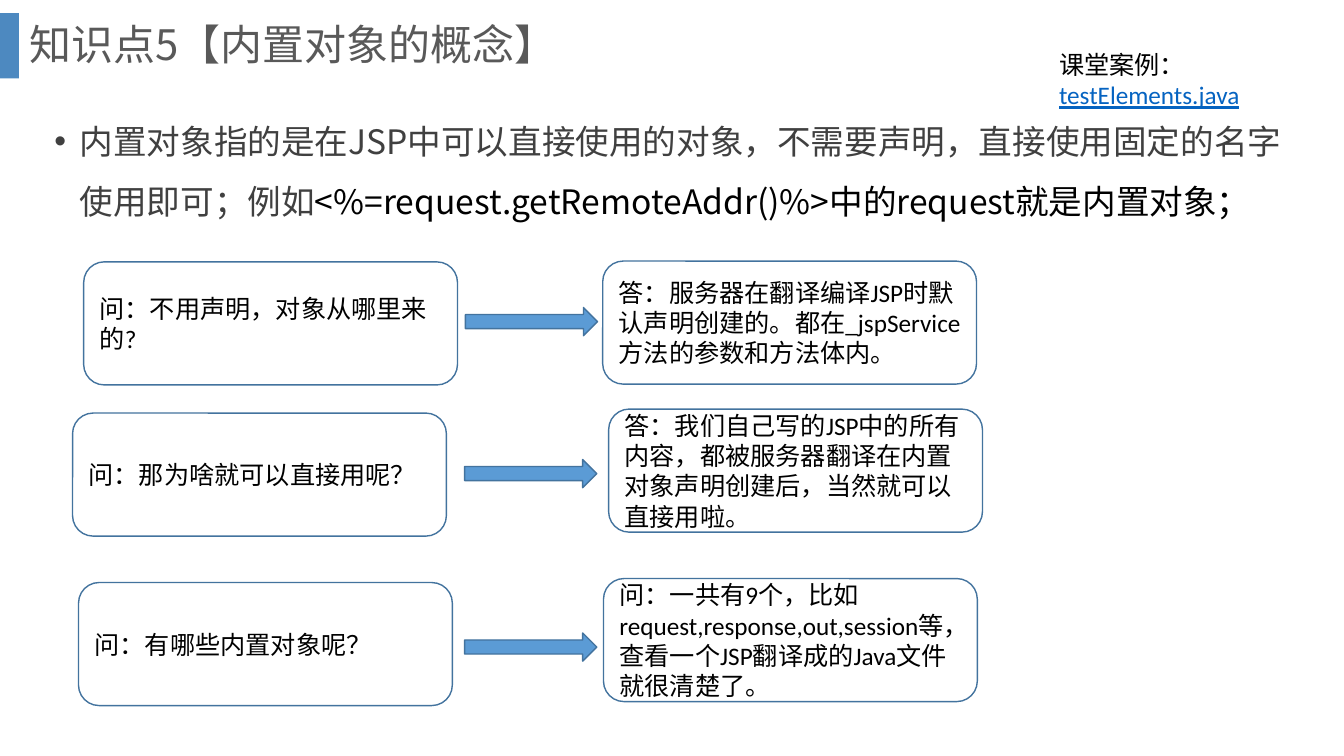
import pptx
import pptx.util
import pptx.dml.color
import pptx.enum.shapes
import pptx.enum.text
import pptx.oxml.ns
import lxml.etree

Cm = pptx.util.Cm
Pt = pptx.util.Pt
SHAPE = pptx.enum.shapes.MSO_SHAPE
ANCHOR = pptx.enum.text.MSO_ANCHOR
LEFT_ALIGN = pptx.enum.text.PP_ALIGN.LEFT
qn = pptx.oxml.ns.qn

COLOURS = {
    "bar": "2E75B6", "title": "595959", "body": "404040", "text": "000000",
    "link": "0563C1", "arrow": "5B9BD5", "line": "43739E",
}
CJK = "Noto Sans CJK SC"
LATIN = "Calibri"
CARD_WIDTH, CARD_HEIGHT = 9.42, 3.1
ARROW_WIDTH, ARROW_HEIGHT = 3.33, 0.71

# Row top, then left and drop below that top for question, arrow and answer
ROWS = [
    (6.58, (2.11, 0.02), (11.73, 1.17), (15.19, 0),
     "问：不用声明，对象从哪里来的?",
     "答：服务器在翻译编译JSP时默认声明创建的。都在_jspService方法的参数和方法体内。"),
    (10.31, (1.83, 0.1), (11.71, 1.27), (15.34, 0),
     "问：那为啥就可以直接用呢？",
     "答：我们自己写的JSP中的所有内容，都被服务器翻译在内置对象声明创建后，当然就可以直接用啦。"),
    (14.58, (1.98, 0.1), (11.71, 1.37), (15.21, 0),
     "问：有哪些内置对象呢？",
     "问：一共有9个，比如request,response,out,session等，查看一个JSP翻译成的Java文件就很清楚了。"),
]


def colour(name):
    return pptx.dml.color.RGBColor.from_string(COLOURS[name])


def add_span(para, text, size, font, ink):
    span = para.add_run()
    span.text = text
    span.font.size = Pt(size)
    span.font.name = font
    span.font.color.rgb = colour(ink)
    east_asian = lxml.etree.SubElement(span.font._element, qn("a:ea"))
    east_asian.set("typeface", CJK)
    return span


def add_text_box(page, box):
    frame = page.shapes.add_textbox(*map(Cm, box)).text_frame
    frame.word_wrap = True
    return frame


def add_plain_shape(page, kind, box, fill=None, line=None):
    shape = page.shapes.add_shape(kind, *map(Cm, box))
    shape.shadow.inherit = False
    if fill:
        shape.fill.solid()
        shape.fill.fore_color.rgb = colour(fill)
    else:
        shape.fill.background()
    if line:
        shape.line.color.rgb = colour(line)
        shape.line.width = Pt(1)
    else:
        shape.line.fill.background()
    return shape


def add_heading(page, box):
    left, top, width, height = box
    # Accent bar at the slide edge, slightly see-through
    bar = add_plain_shape(page, SHAPE.RECTANGLE, (left, top + 0.33, 0.48, 1.65), "bar")
    tint = bar.fill._xPr.find(qn("a:solidFill"))[0]
    lxml.etree.SubElement(tint, qn("a:alpha")).set("val", "85000")

    title = page.shapes.title
    title.left, title.top = Cm(left + 0.48), Cm(top)
    title.width, title.height = Cm(width - 0.48), Cm(height)
    frame = title.text_frame
    frame.auto_size = pptx.enum.text.MSO_AUTO_SIZE.NONE
    frame.vertical_anchor = ANCHOR.MIDDLE
    para = frame.paragraphs[0]
    para.alignment = LEFT_ALIGN
    para.line_spacing = 0.9
    add_span(para, "知识点5【内置对象的概念】", 30, CJK, "title")


def add_definition(page, box):
    para = add_text_box(page, box).paragraphs[0]
    para.line_spacing = 1.5
    para.space_before = Pt(10)
    properties = para._p.get_or_add_pPr()
    properties.set("marL", str(Cm(0.64)))
    properties.set("indent", str(Cm(-0.64)))
    lxml.etree.SubElement(properties, qn("a:buFont")).set("typeface", "Arial")
    lxml.etree.SubElement(properties, qn("a:buChar")).set("char", "•")
    add_span(para, "内置对象指的是在JSP中可以直接使用的对象，不需要声明，"
             "直接使用固定的名字使用即可；例如", 24, CJK, "body")
    add_span(para, "<%=request.getRemoteAddr()%>中的request就是内置对象；", 24, CJK, "text")


def add_case_note(page, box):
    para = add_text_box(page, box).paragraphs[0]
    add_span(para, "课堂案例：", 18, LATIN, "text")
    add_span(para, "testElements.java", 18, LATIN, "link").font.underline = True


def add_card(page, box, text):
    card = add_plain_shape(page, SHAPE.ROUNDED_RECTANGLE, box, line="line")
    card.text_frame.word_wrap = True
    card.text_frame.vertical_anchor = ANCHOR.MIDDLE
    para = card.text_frame.paragraphs[0]
    para.alignment = LEFT_ALIGN
    add_span(para, text, 18, LATIN, "text")


def add_question_row(page, top, question_at, arrow_at, answer_at, question, answer):
    for (left, drop), text in ((question_at, question), (answer_at, answer)):
        add_card(page, (left, top + drop, CARD_WIDTH, CARD_HEIGHT), text)
    left, drop = arrow_at
    add_plain_shape(page, SHAPE.RIGHT_ARROW,
                    (left, top + drop, ARROW_WIDTH, ARROW_HEIGHT), "arrow", "line")


def main():
    deck = pptx.Presentation()
    deck.slide_width, deck.slide_height = Cm(33.87), Cm(19.05)
    page = deck.slides.add_slide(deck.slide_layouts[5])
    add_heading(page, (0, 0, 32.64, 2.36))
    add_definition(page, (1.12, 2.41, 31.6, 3.35))
    add_case_note(page, (26.44, 1.12, 5.79, 1.8))
    for row in ROWS:
        add_question_row(page, *row)
    deck.save("out.pptx")


if __name__ == "__main__":
    main()
